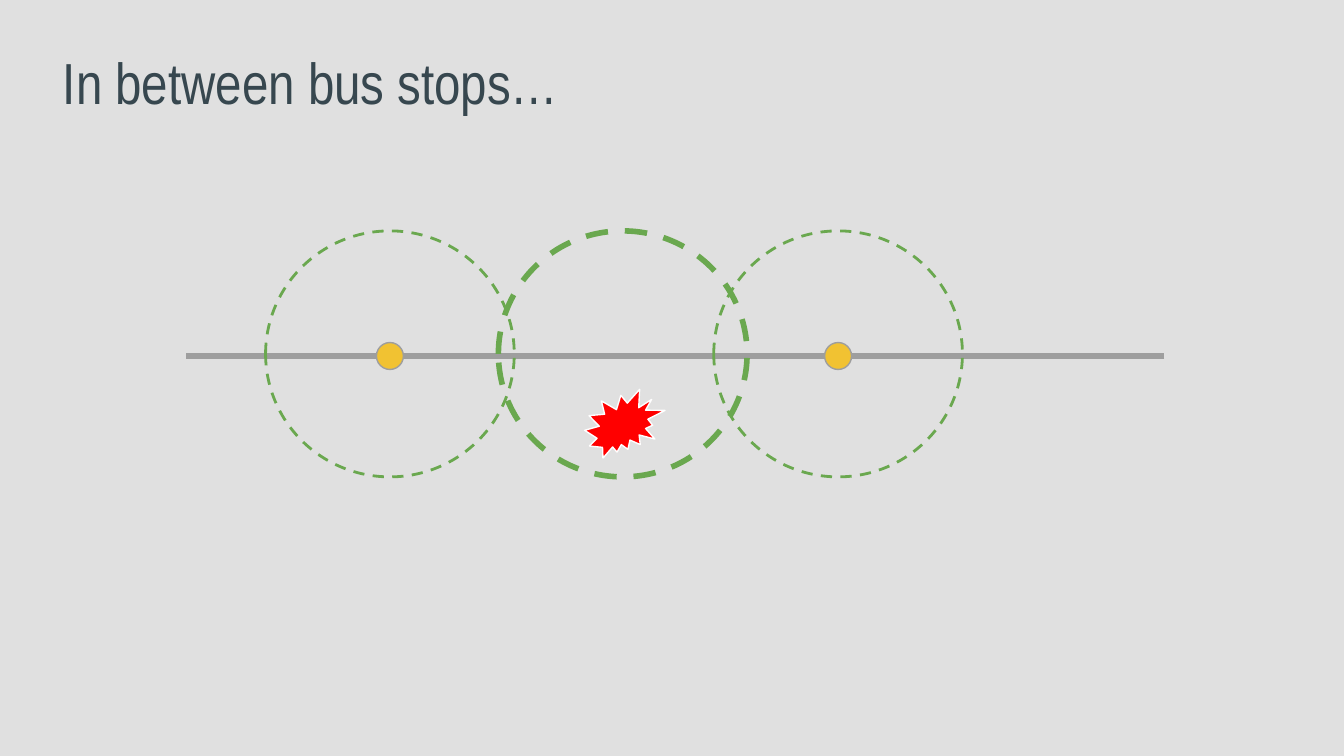
import pptx
import pptx.dml.color
import pptx.enum.dml
import pptx.enum.shapes
import pptx.enum.text
import pptx.oxml
import pptx.util

Cm, Pt = pptx.util.Cm, pptx.util.Pt
Shape = pptx.enum.shapes.MSO_SHAPE
Dash = pptx.enum.dml.MSO_LINE_DASH_STYLE

COLORS = {
    "background": "E0E0E0", "title": "37474F", "road": "9E9E9E",
    "stop": "F1C232", "range": "6AA84F", "incident": "FF0000", "edge": "FFFFFF",
}
TITLE = "In between bus stops…"
TITLE_FONT = {"name": "Arial Narrow", "size": Pt(31)}
TITLE_FRAME = {
    "word_wrap": True, "vertical_anchor": pptx.enum.text.MSO_ANCHOR.TOP,
    "margin_left": Cm(0.25), "margin_right": Cm(0.25),
    "margin_top": Cm(0.25), "margin_bottom": Cm(0.25),
}

# Centres and sizes in centimetres
ROAD_Y, ROAD_START, ROAD_END = 6.73, 3.51, 22.0
STOPS_X = [7.37, 15.84]
RANGE_Y = 6.69
STOP_SIZE, RANGE_SIZE, INCIDENT_SIZE = (0.51, 0.51), (4.7, 4.65), (1.52, 1.3)
BETWEEN_X = 11.77
INCIDENT_CENTER = (11.81, 8.01)


def rgb(name):
    return pptx.dml.color.RGBColor.from_string(COLORS[name])


def set_attributes(target, values):
    for name, value in values.items():
        setattr(target, name, value)


def add_centered(page, kind, center, size, fill, edge, weight, dash=None):
    """Add a shape around its centre; a fill of None leaves it hollow."""
    left, top = (middle - length / 2 for middle, length in zip(center, size))
    shape = page.shapes.add_shape(kind, Cm(left), Cm(top), *map(Cm, size))
    shape.shadow.inherit = False
    if fill:
        shape.fill.solid()
        shape.fill.fore_color.rgb = rgb(fill)
    else:
        shape.fill.background()
    shape.line.color.rgb = rgb(edge)
    set_attributes(shape.line, {"width": Pt(weight), "dash_style": dash})


def add_range(page, x, weight):
    add_centered(page, Shape.OVAL, (x, RANGE_Y), RANGE_SIZE,
                 None, "range", weight, Dash.DASH)


def add_road(page):
    road = page.shapes.add_connector(
        pptx.enum.shapes.MSO_CONNECTOR.STRAIGHT,
        Cm(ROAD_END), Cm(ROAD_Y), Cm(ROAD_START), Cm(ROAD_Y))
    road.line.color.rgb = rgb("road")
    road.line.width = Pt(3)
    properties = road._element.spPr
    properties.append(pptx.oxml.parse_xml(
        '<a:effectLst xmlns:a="http://schemas.openxmlformats.org/drawingml/2006/main"/>'))


def add_title(page):
    box = page.shapes.add_textbox(Cm(0.94), Cm(0.64), Cm(23.22), Cm(4.65))
    set_attributes(box.text_frame, TITLE_FRAME)
    span = box.text_frame.paragraphs[0].add_run()
    span.text = TITLE
    set_attributes(span.font, TITLE_FONT)
    span.font.color.rgb = rgb("title")


def main():
    deck = pptx.Presentation()
    set_attributes(deck, {"slide_width": Cm(25.4), "slide_height": Cm(14.29)})
    page = deck.slides.add_slide(deck.slide_layouts[6])
    page.background.fill.solid()
    page.background.fill.fore_color.rgb = rgb("background")

    add_road(page)
    for x in STOPS_X:
        add_centered(page, Shape.OVAL, (x, ROAD_Y), STOP_SIZE, "stop", "road", 0.75)
    add_centered(page, Shape.EXPLOSION2, INCIDENT_CENTER, INCIDENT_SIZE,
                 "incident", "edge", 0.75)
    for x in STOPS_X:
        add_range(page, x, 1.5)
    add_title(page)
    add_range(page, BETWEEN_X, 3)
    deck.save("out.pptx")


if __name__ == "__main__":
    main()
